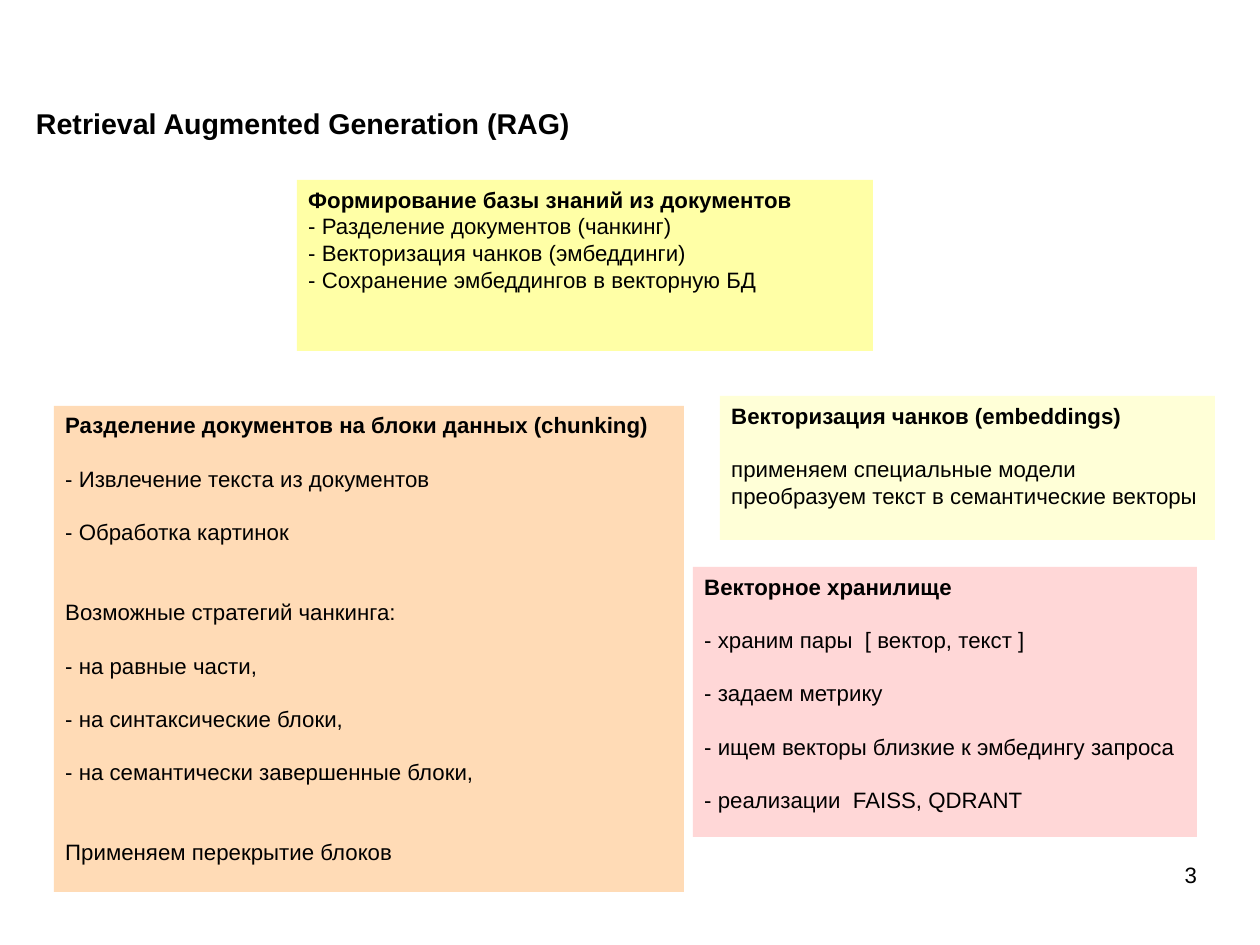
from pptx import Presentation
from pptx.dml.color import RGBColor
from pptx.enum.shapes import MSO_SHAPE
from pptx.enum.text import MSO_ANCHOR, MSO_AUTO_SIZE, PP_ALIGN
from pptx.util import Cm, Pt

BLACK = RGBColor(0x00, 0x00, 0x00)
YELLOW = RGBColor(0xFF, 0xFF, 0xA6)
ORANGE = RGBColor(0xFF, 0xDB, 0xB6)
CREAM = RGBColor(0xFF, 0xFF, 0xD7)
PINK = RGBColor(0xFF, 0xD7, 0xD7)

LINE = 16.8
FONT = {"name": "Arial", "size": Pt(14), "bold": False}
HEADING = {**FONT, "bold": True}
TITLE = {**HEADING, "size": Pt(18)}
FRAME = {"word_wrap": True, "auto_size": MSO_AUTO_SIZE.NONE}
PADDED = {**FRAME, "vertical_anchor": MSO_ANCHOR.TOP,
          "margin_left": Cm(0.25), "margin_right": Cm(0.25),
          "margin_top": Cm(0.13), "margin_bottom": Cm(0.13)}
FLUSH = {**FRAME, "margin_left": 0, "margin_right": 0,
         "margin_top": 0, "margin_bottom": 0}

CHUNKING = [
    (0, "Разделение документов на блоки данных (chunking)"),
    (1, "- Извлечение текста из документов"),
    (1, "- Обработка картинок"),
    (2, "Возможные стратегий чанкинга:"),
    (1, "- на равные части,"),
    (1, "- на синтаксические блоки,"),
    (1, "- на семантически завершенные блоки,"),
    (2, "Применяем перекрытие блоков"),
]
KNOWLEDGE_BASE = [
    (0, "Формирование базы знаний из документов"),
    (0, "- Разделение документов (чанкинг)"),
    (0, "- Векторизация чанков (эмбеддинги)"),
    (0, "- Сохранение эмбеддингов в векторную БД"),
]
EMBEDDINGS = [
    (0, "Векторизация чанков (embeddings)"),
    (1, "применяем специальные модели"),
    (0, "преобразуем текст в семантические векторы"),
]
VECTOR_STORE = [
    (0, "Векторное хранилище"),
    (1, "- храним пары  [ вектор, текст ]"),
    (1, "- задаем метрику"),
    (1, "- ищем векторы близкие к эмбедингу запроса"),
    (1, "- реализации  FAISS, QDRANT"),
]
PANELS = [
    ((1.2, 9.02, 14, 10.8), ORANGE, CHUNKING),
    ((6.6, 4, 12.8, 3.8), YELLOW, KNOWLEDGE_BASE),
    ((16, 8.8, 11, 3.2), CREAM, EMBEDDINGS),
    ((15.4, 12.6, 11.2, 6), PINK, VECTOR_STORE),
]


def apply(target, values):
    """Set every attribute in values on the target."""
    for attribute, value in values.items():
        setattr(target, attribute, value)


def write(paragraph, text, style, align=PP_ALIGN.LEFT):
    """Put formatted black text in a paragraph."""
    paragraph.text = text
    paragraph.alignment = align
    apply(paragraph.runs[0].font, style)
    paragraph.runs[0].font.color.rgb = BLACK


def add_title(slide, box, text):
    """Place the title placeholder in its box."""
    title = slide.shapes.title
    apply(title, dict(zip(("left", "top", "width", "height"), map(Cm, box))))
    apply(title.text_frame, {**FLUSH, "vertical_anchor": MSO_ANCHOR.MIDDLE})
    write(title.text_frame.paragraphs[0], text, TITLE)


def add_panel(slide, box, color, lines):
    """Draw a filled panel whose first line is a bold heading."""
    panel = slide.shapes.add_shape(MSO_SHAPE.RECTANGLE, *map(Cm, box))
    panel.shadow.inherit = False
    panel.fill.solid()
    panel.fill.fore_color.rgb = color
    panel.line.fill.background()
    frame = panel.text_frame
    apply(frame, PADDED)
    for index, (gap, text) in enumerate(lines):
        paragraph = frame.add_paragraph() if index else frame.paragraphs[0]
        write(paragraph, text, FONT if index else HEADING)
        apply(paragraph, {"line_spacing": Pt(LINE), "space_before": Pt(gap * LINE)})


def add_page_number(slide, box, number):
    """Write the page number at the right edge of its box."""
    page = slide.shapes.add_textbox(*map(Cm, box))
    apply(page.text_frame, FLUSH)
    write(page.text_frame.paragraphs[0], number, FONT, PP_ALIGN.RIGHT)


def main():
    """Build and save the slide."""
    deck = Presentation()
    apply(deck, {"slide_width": Cm(28), "slide_height": Cm(21)})
    slide = deck.slides.add_slide(deck.slide_layouts.get_by_name("Title Only"))
    add_title(slide, (0.8, 2.06, 20.2, 1.35), "Retrieval Augmented Generation (RAG)")
    for box, color, lines in PANELS:
        add_panel(slide, box, color, lines)
    add_page_number(slide, (20.07, 19.13, 6.53, 1.45), "3")
    deck.save("out.pptx")


if __name__ == "__main__":
    main()
